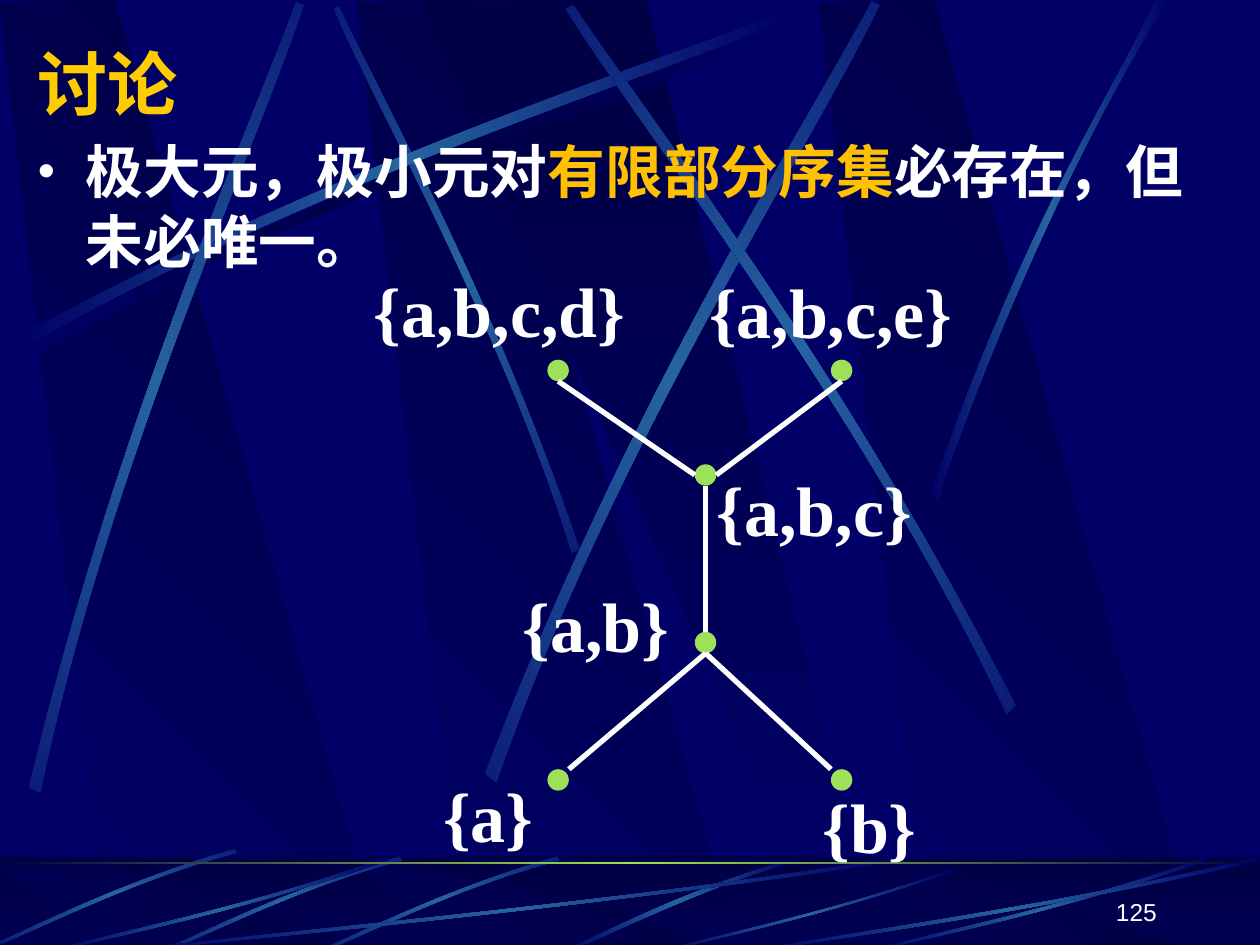
"""Builds a lesson slide on maximal and minimal elements with a Hasse diagram."""
import math
import pptx
import pptx.dml.color
import pptx.enum.shapes
import pptx.enum.text
import pptx.oxml
import pptx.oxml.ns
import pptx.util
from pptx.util import Inches

NAVY, DARK, STEEL = "000066", "000044", "2663A0"
WHITE, GOLD, AMBER, LIME = "FFFFFF", "FFCC00", "FFC000", "9CE157"
CJK = "Noto Sans CJK SC"
STRIPE = (NAVY, STEEL, NAVY)

TITLE = [("讨论", GOLD)]
STATEMENT = [("极大元，极小元对", WHITE), ("有限部分序集", AMBER), ("必存在，但未必唯一。", WHITE)]
PAGE = [("125", WHITE)]

# name: dot centre, label corner, label width
NODES = {
    "{a}": ((4.43, 6.19), (3.42, 5.95), 1.01),
    "{b}": ((6.68, 6.19), (6.43, 6.04), 1.05),
    "{a,b}": ((5.6, 5.1), (4.05, 4.44), 1.46),
    "{a,b,c}": ((5.6, 3.77), (5.59, 3.52), 1.85),
    "{a,b,c,d}": ((4.43, 2.94), (2.87, 1.94), 2.3),
    "{a,b,c,e}": ((6.68, 2.94), (5.53, 1.95), 2.23),
}
TOP, LEFT, BOTTOM, RIGHT = (0, -1), (-1, 0), (0, 1), (1, 0)
EDGES = [
    ("{a,b,c}", BOTTOM, "{a,b}", TOP),
    ("{a,b,c,d}", BOTTOM, "{a,b,c}", LEFT),
    ("{a,b,c,e}", BOTTOM, "{a,b,c}", RIGHT),
    ("{a,b}", BOTTOM, "{a}", (1, -1)),
    ("{a,b}", BOTTOM, "{b}", (-1, -1)),
]
DOT = 0.17

BEAM_SHIFTS = (2.83, 0, 6.5)
BEAM = [(0.86, 7.5), (3.02, 7.52), (0.91, 0), (0, 0.02)]
WIDE_BEAM = [(3.33, 0.01), (6.58, 7.51), (6.94, 7.51), (5.13, 0)]
FLOOR_BEAM = [(0.86, 7.54), (3.02, 7.55), (0.91, 6.88), (0, 6.88)]
FLOOR_WIDE_BEAM = [(3.33, 6.88), (6.58, 7.55), (6.94, 7.55), (5.13, 6.88)]

SWEEP = [(0.14, 2.67), (2.78, 1.25), (5.18, 0.51), (6.2, 0.1),
         (6.23, 0.16), (5.22, 0.61), (2.48, 1.43), (0.17, 2.77)]
FLOOR_SWEEP = [(3.17, 6.8), (2.3, 7.05), (1.62, 7.4), (1.31, 7.53),
               (1.32, 7.55), (1.63, 7.43), (2.4, 7.03), (3.19, 6.83)]
FLOOR_RAY = [(3.08, 6.83), (1.93, 7.23), (0.88, 7.44), (0.43, 7.55),
             (0.42, 7.54), (0.86, 7.41), (2.06, 7.18), (3.07, 6.8)]

# two Bezier edges, rotation, shift, colours
WALL_STRIPES = [
    (SWEEP, 0, (0.06, 0.08), (NAVY, DARK, NAVY)),
    ([(4.6, 4.36), (3.91, 2.34), (3.02, 0.77), (2.69, 0.05),
      (2.65, 0.07), (2.95, 0.79), (3.98, 2.58), (4.54, 4.39)], 45, (0, 0), STRIPE),
    (SWEEP, 0, (0, 0), STRIPE),
    ([(0.23, 6.25), (0.93, 3.34), (1.97, 1.05), (2.35, 0.02),
      (2.41, 0.04), (2.07, 1.09), (0.86, 3.68), (0.32, 6.29)], 311.7, (0, 0), STRIPE),
    ([(3.85, 6.14), (4.98, 3.2), (6.38, 1.02), (6.92, 0.01),
      (6.98, 0.04), (6.49, 1.08), (4.86, 3.55), (3.94, 6.21)], 321.6, (0, 0), STRIPE),
    ([(8.06, 5.6), (6.7, 2.93), (5.16, 0.95), (4.55, 0.04),
      (4.49, 0.07), (5.07, 1.01), (6.85, 3.25), (7.99, 5.67)], 34.7, (0, 0), STRIPE),
    ([(7.38, 3.94), (8.14, 1.73), (8.88, 0.66), (9.17, 0),
      (9.27, 0), (8.36, 1.45), (7.69, 3.22), (7.44, 3.97)], 0, (0, 0), STRIPE),
]
FLOOR_STRIPES = [
    ([(6.27, 6.82), (5.37, 7.09), (4.77, 7.42), (4.48, 7.54),
      (4.53, 7.55), (4.9, 7.38), (5.71, 7), (6.28, 6.85)], 0, (0, 0), STRIPE),
    (FLOOR_SWEEP, 315, (1.25, 0), STRIPE),
    (FLOOR_SWEEP, 315, (0, 0), STRIPE),
    (FLOOR_SWEEP, 315, (-1.31, -0.06), STRIPE),
    ([(7.17, 6.83), (4.49, 7.23), (2.06, 7.44), (1.03, 7.55),
      (1, 7.54), (2.02, 7.41), (4.8, 7.18), (7.14, 6.8)], 0, (0, 0), STRIPE),
    (FLOOR_RAY, 0, (0, 0), STRIPE),
    ([(7.58, 6.91), (6.58, 7.26), (5.67, 7.45), (5.28, 7.55),
      (5.27, 7.54), (5.65, 7.43), (6.69, 7.22), (7.57, 6.89)], 0, (0, 0), STRIPE),
    (FLOOR_RAY, 0, (6.5, 0), STRIPE),
    ([(10, 6.83), (8.27, 7.23), (6.69, 7.44), (6.02, 7.55),
      (6, 7.54), (6.66, 7.41), (8.46, 7.18), (9.98, 6.8)], 0, (0, 0), STRIPE),
]


def rgb(colour):
    return pptx.dml.color.RGBColor.from_string(colour)


def element(tag, attributes="", inner=""):
    ns = pptx.oxml.ns.nsdecls("a")
    return pptx.oxml.parse_xml(f"<a:{tag} {ns} {attributes}>{inner}</a:{tag}>")


def paint(shape, colours, angle=0, alpha=100):
    shape.shadow.inherit = False
    shape.line.fill.background()
    shape.fill.background()
    swatches = [f'<a:srgbClr val="{c}"><a:alpha val="{alpha * 1000}"/></a:srgbClr>' for c in colours]
    if len(swatches) == 1:
        fill = element("solidFill", inner=swatches[0])
    else:
        step = 100000 // (len(swatches) - 1)
        stops = "".join(f'<a:gs pos="{i * step}">{s}</a:gs>' for i, s in enumerate(swatches))
        fill = element("gradFill", 'rotWithShape="1"',
                       f'<a:gsLst>{stops}</a:gsLst><a:lin ang="{angle * 60000}" scaled="0"/>')
    properties = shape.element.spPr
    properties.replace(properties.find(pptx.oxml.ns.qn("a:noFill")), fill)


def turn(point, degrees):
    x, y = point
    cos, sin = math.cos(math.radians(degrees)), math.sin(math.radians(degrees))
    return x * cos - y * sin, x * sin + y * cos


def bend(shape):
    segments = list(shape.element.iter(pptx.oxml.ns.qn("a:lnTo")))
    for edge in (segments[:3], segments[4:]):
        curve = element("cubicBezTo")
        edge[0].addprevious(curve)
        for segment in edge:
            curve.append(segment[0])
            segment.getparent().remove(segment)


def outline(slide, points, colours, angle=0, rotation=0, shift=(0, 0), curved=False):
    level = [turn((x + shift[0], y + shift[1]), -rotation) for x, y in points]
    middle = [(min(axis) + max(axis)) / 2 for axis in zip(*level)]
    moved = [a - b for a, b in zip(turn(middle, rotation), middle)]
    vertices = [(Inches(x + moved[0]), Inches(y + moved[1])) for x, y in level]
    builder = slide.shapes.build_freeform(*vertices[0])
    builder.add_line_segments(vertices[1:], close=True)
    shape = builder.convert_to_shape()
    if curved:
        bend(shape)
    shape.rotation = rotation
    paint(shape, colours, angle)


def preset(slide, kind, box, colours, **fill):
    paint(slide.shapes.add_shape(kind, *map(Inches, box)), colours, **fill)


def write(shape, runs, box, size, font="Arial", bold=True, align="LEFT", anchor="TOP",
          spacing=None, east=None, wrap=True, bullet=False):
    shape.left, shape.top, shape.width, shape.height = map(Inches, box)
    frame = shape.text_frame
    frame.auto_size = pptx.enum.text.MSO_AUTO_SIZE.NONE
    frame.word_wrap = wrap
    frame.vertical_anchor = pptx.enum.text.MSO_ANCHOR[anchor]
    paragraph = frame.paragraphs[0]
    paragraph.alignment = pptx.enum.text.PP_ALIGN[align]
    paragraph.space_before = pptx.util.Pt(0)
    paragraph.line_spacing = spacing
    if bullet:
        properties = paragraph._p.get_or_add_pPr()
        properties.set("marL", str(Inches(0.38)))
        properties.set("indent", str(Inches(-0.38)))
        properties.append(element("buSzPct", 'val="85000"'))
        properties.append(element("buChar", 'char="•"'))
    for text, colour in runs:
        run = paragraph.add_run()
        run.text = text
        run.font.size, run.font.name, run.font.bold = pptx.util.Pt(size), font, bold
        run.font.color.rgb = rgb(colour)
        if east:
            run._r.get_or_add_rPr().append(element("ea", f'typeface="{east}"'))


def draw_beams(slide, beam, wide_beam):
    for x in BEAM_SHIFTS:
        outline(slide, beam, (NAVY, DARK), angle=315, shift=(x, 0))
    outline(slide, wide_beam, (DARK, NAVY), angle=90)


def draw_stripes(slide, stripes):
    for controls, rotation, shift, colours in stripes:
        outline(slide, controls, colours, rotation=rotation, shift=shift, curved=True)


def draw_backdrop(slide):
    rectangle, floor = pptx.enum.shapes.MSO_SHAPE.RECTANGLE, (0, 6.8, 10, 0.75)
    draw_beams(slide, BEAM, WIDE_BEAM)
    draw_stripes(slide, WALL_STRIPES)
    preset(slide, rectangle, floor, (DARK, NAVY), angle=90)
    draw_beams(slide, FLOOR_BEAM, FLOOR_WIDE_BEAM)
    preset(slide, rectangle, floor, (DARK,), alpha=50)
    draw_stripes(slide, FLOOR_STRIPES)
    preset(slide, rectangle, (0, 6.84, 10, 0.02), (DARK, LIME, DARK))


def draw_diagram(slide):
    for (x, y), _, _ in NODES.values():
        preset(slide, pptx.enum.shapes.MSO_SHAPE.OVAL, (x - DOT / 2, y - DOT / 2, DOT, DOT), (LIME,))
    for upper, upper_side, lower, lower_side in EDGES:
        ends = [Inches(c + s * DOT / 2) for node, side in ((upper, upper_side), (lower, lower_side))
                for c, s in zip(NODES[node][0], side)]
        edge = slide.shapes.add_connector(pptx.enum.shapes.MSO_CONNECTOR.STRAIGHT, *ends)
        edge.line.color.rgb, edge.line.width = rgb(WHITE), pptx.util.Pt(3)
        edge.element.spPr.append(element("effectLst"))
    for name, (_, corner, width) in NODES.items():
        write(slide.shapes.add_textbox(0, 0, 0, 0), [(name, WHITE)], (*corner, width, 0.9), 40,
              font="Times New Roman", spacing=1.2, wrap=False)


def main():
    deck = pptx.Presentation()
    deck.slide_width, deck.slide_height = Inches(10), Inches(7.5)
    slide = deck.slides.add_slide(deck.slide_layouts[1])
    slide.background.fill.solid()
    slide.background.fill.fore_color.rgb = rgb(NAVY)
    title, statement = slide.placeholders
    layers = title.element.getparent()
    draw_backdrop(slide)
    write(statement, STATEMENT, (0.2, 1.03, 9.67, 5.83), 33, east=CJK, bullet=True)
    layers.append(statement.element)
    draw_diagram(slide)
    write(slide.shapes.add_textbox(0, 0, 0, 0), PAGE, (7.2, 6.9, 2.08, 0.5), 14,
          bold=False, align="RIGHT", anchor="BOTTOM")
    write(title, TITLE, (0.2, 0.27, 8.5, 0.77), 40, font=CJK, east=CJK, anchor="MIDDLE")
    layers.append(title.element)
    deck.save("out.pptx")


if __name__ == "__main__":
    main()
